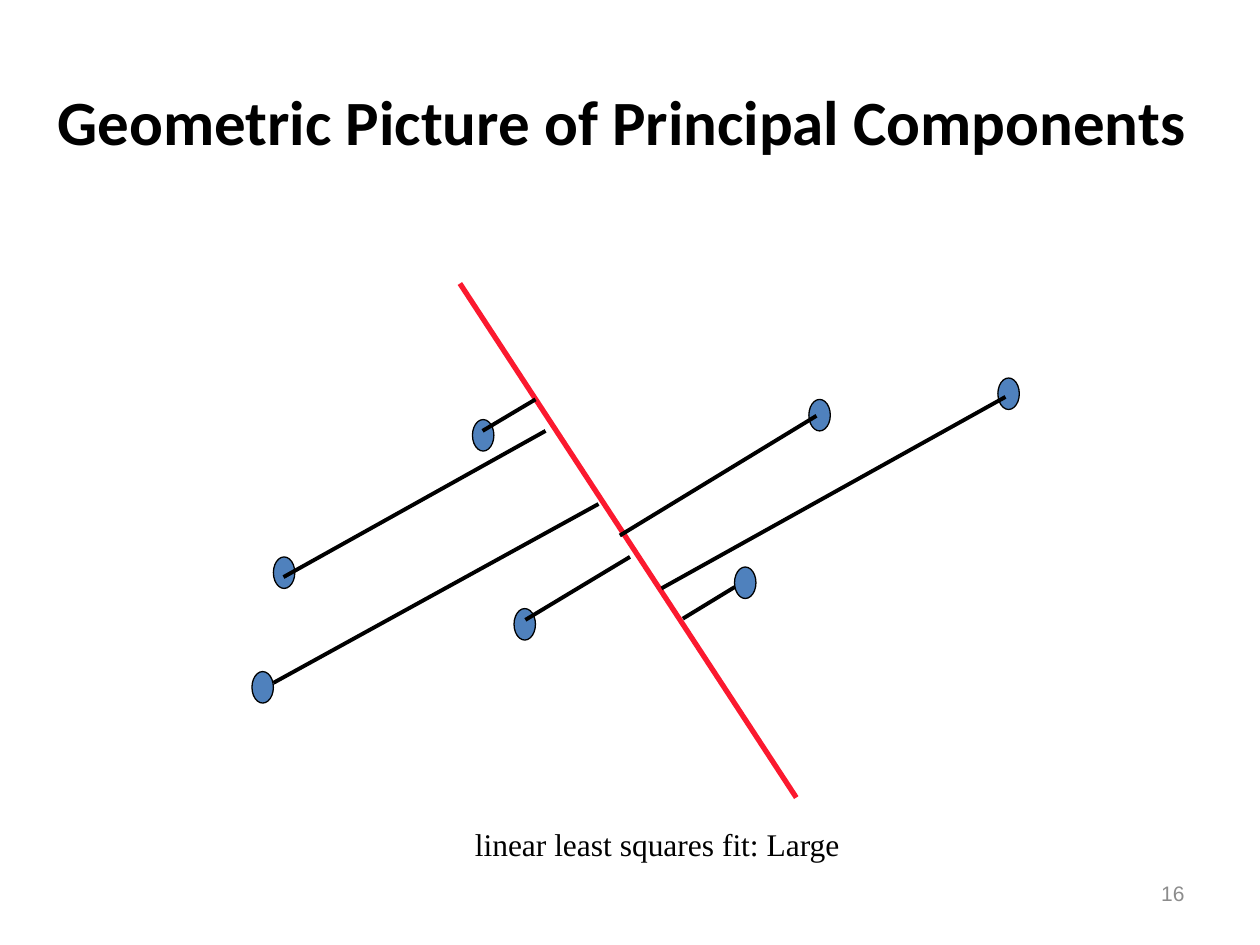
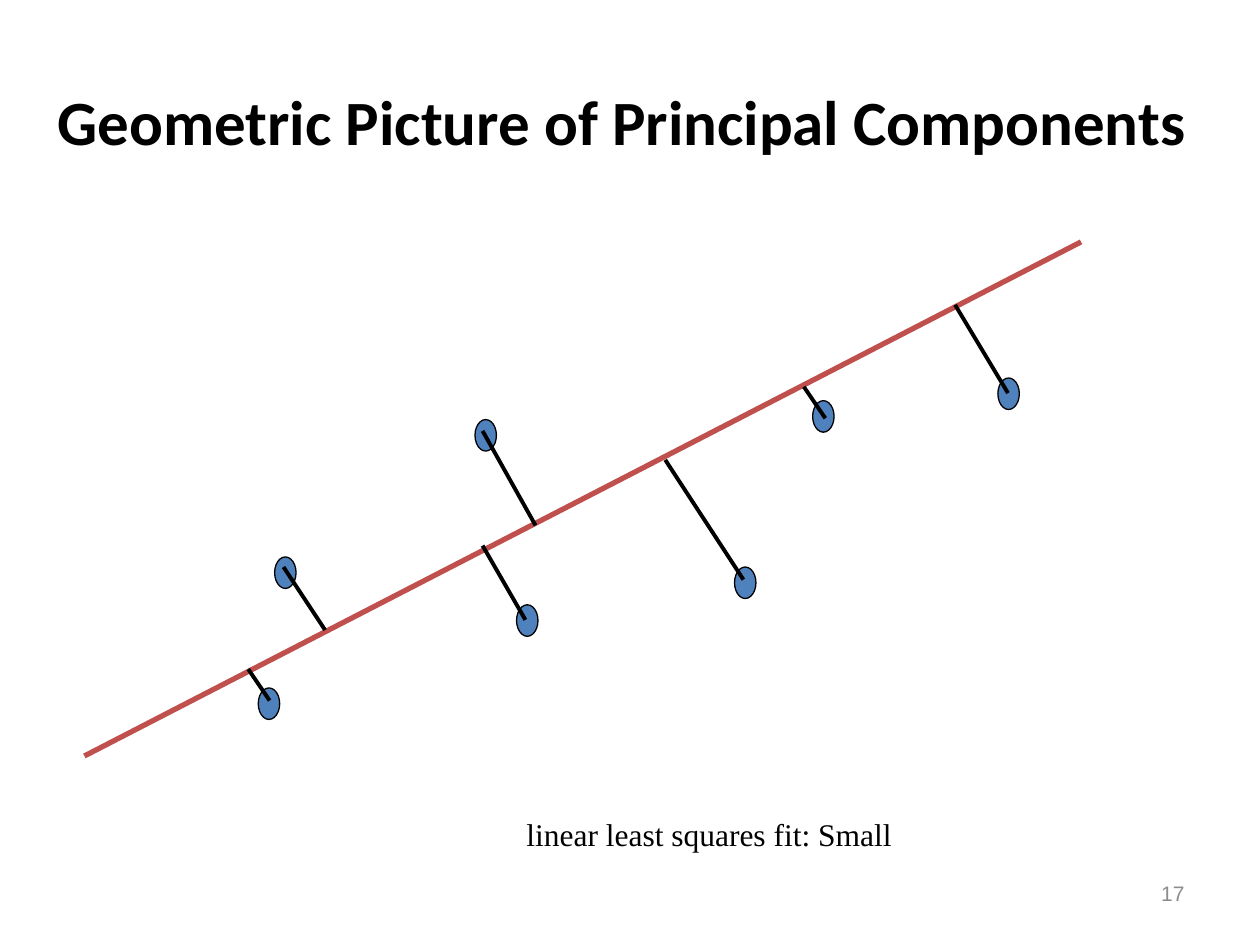
from lxml.etree import SubElement
from pptx import Presentation
from pptx.dml.color import RGBColor
from pptx.enum.shapes import MSO_CONNECTOR, MSO_SHAPE
from pptx.enum.text import MSO_ANCHOR, MSO_AUTO_SIZE, PP_ALIGN
from pptx.oxml.ns import qn
from pptx.util import Inches, Pt

BLACK = RGBColor(0x00, 0x00, 0x00)
GREY = RGBColor(0x8C, 0x8C, 0x8C)
POINT_BLUE = RGBColor(0x4F, 0x81, 0xBD)
BRIGHT_RED = RGBColor(0xFB, 0x19, 0x2F)
MUTED_RED = RGBColor(0xC0, 0x50, 0x4D)

TITLE = "Geometric Picture of Principal Components"
TITLE_BOX = (0, 0.5, 10, 1.25)
NUMBER_BOX = (7.17, 6.83, 2.33, 0.52)
POINT_SIZE = (0.17, 0.25)

FITS = [
    {
        "number": 16,
        "caption": "linear least squares fit: Large",
        "caption_box": (3.67, 6.5, 3.19, 0.4),
        "plot_box": (2, 2.25, 6.09, 4.08),
        "fit_color": BRIGHT_RED,
        "fit_line": (1.65, 0, 4.32, 4.08),
        "points": [(5.92, 0.75), (0.17, 2.17), (0, 3.08), (2.08, 2.58),
                   (1.75, 1.08), (3.83, 2.25), (4.42, 0.92)],
        "residuals": [(1.83, 1.17, 2.25, 0.92), (2.92, 2, 4.48, 1.05),
                      (3.42, 2.66, 3.83, 2.41), (0.17, 3.17, 2.75, 1.75),
                      (0.25, 2.33, 2.33, 1.17), (2.17, 2.67, 3, 2.17),
                      (3.25, 2.42, 5.98, 0.9)],
    },
    {
        "number": 17,
        "caption": "linear least squares fit: Small",
        "caption_box": (4.08, 6.42, 3.2, 0.4),
        "plot_box": (0.67, 1.92, 7.91, 4.08),
        "fit_color": MUTED_RED,
        "fit_line": (0, 4.08, 7.91, 0),
        "points": [(1.51, 2.5), (1.38, 3.54), (7.25, 1.08), (3.43, 2.88),
                   (3.1, 1.41), (5.16, 2.58), (5.78, 1.26)],
        "residuals": [(1.47, 3.64, 1.3, 3.39), (3.5, 3, 3.16, 2.41),
                      (5.88, 1.4, 5.71, 1.15), (1.91, 3.08, 1.58, 2.58),
                      (3.58, 2.25, 3.16, 1.5), (7.33, 1.2, 6.91, 0.5),
                      (5.23, 2.68, 4.61, 1.73)],
    },
]


def inches(values):
    return [Inches(value) for value in values]


def format_text(frame, font_name, size, color, align, bold=False):
    paragraph = frame.paragraphs[0]
    paragraph.alignment = align
    for run in paragraph.runs:
        run.font.name = font_name
        run.font.size = Pt(size)
        run.font.bold = bold
        run.font.color.rgb = color


def add_title(slide, box):
    title = slide.shapes.title
    title.left, title.top, title.width, title.height = inches(box)
    frame = title.text_frame
    frame.text = TITLE
    frame.vertical_anchor = MSO_ANCHOR.MIDDLE
    frame.auto_size = MSO_AUTO_SIZE.NONE
    frame.margin_right = Inches(0.23)
    frame.margin_bottom = Inches(0.39)
    format_text(frame, "Calibri", 36, BLACK, PP_ALIGN.CENTER, bold=True)


def add_caption(slide, box, text):
    frame = slide.shapes.add_textbox(*inches(box)).text_frame
    frame.text = text
    frame.word_wrap = False
    frame.auto_size = MSO_AUTO_SIZE.SHAPE_TO_FIT_TEXT
    format_text(frame, "Times New Roman", 18, BLACK, PP_ALIGN.LEFT)


def add_slide_number(slide, box, number):
    frame = slide.shapes.add_textbox(*inches(box)).text_frame
    frame.text = str(number)
    frame.word_wrap = True
    frame.vertical_anchor = MSO_ANCHOR.MIDDLE
    format_text(frame, "Arial", 12, GREY, PP_ALIGN.RIGHT)


def add_point(slide, left, top):
    point = slide.shapes.add_shape(MSO_SHAPE.OVAL, *inches((left, top, *POINT_SIZE)))
    point.shadow.inherit = False
    point.fill.solid()
    point.fill.fore_color.rgb = POINT_BLUE
    point.line.color.rgb = BLACK
    point.line.width = Pt(0.75)


def add_line(slide, ends, color, width):
    line = slide.shapes.add_connector(MSO_CONNECTOR.STRAIGHT, *inches(ends))
    line.line.color.rgb = color
    line.line.width = Pt(width)
    SubElement(line._element.spPr, qn("a:effectLst"))


def add_plot(slide, box, fit):
    left, top = box[:2]

    def placed(x1, y1, x2, y2):
        return left + x1, top + y1, left + x2, top + y2

    add_line(slide, placed(*fit["fit_line"]), fit["fit_color"], 3)
    for x, y in fit["points"]:
        add_point(slide, left + x, top + y)
    for residual in fit["residuals"]:
        add_line(slide, placed(*residual), BLACK, 2.25)


def add_fit_slide(presentation, fit):
    slide = presentation.slides.add_slide(presentation.slide_layouts[5])
    add_title(slide, TITLE_BOX)
    add_plot(slide, fit["plot_box"], fit)
    add_caption(slide, fit["caption_box"], fit["caption"])
    add_slide_number(slide, NUMBER_BOX, fit["number"])


def main():
    presentation = Presentation()
    presentation.slide_width = Inches(10)
    presentation.slide_height = Inches(7.5)
    for fit in FITS:
        add_fit_slide(presentation, fit)
    presentation.save("out.pptx")


if __name__ == "__main__":
    main()
